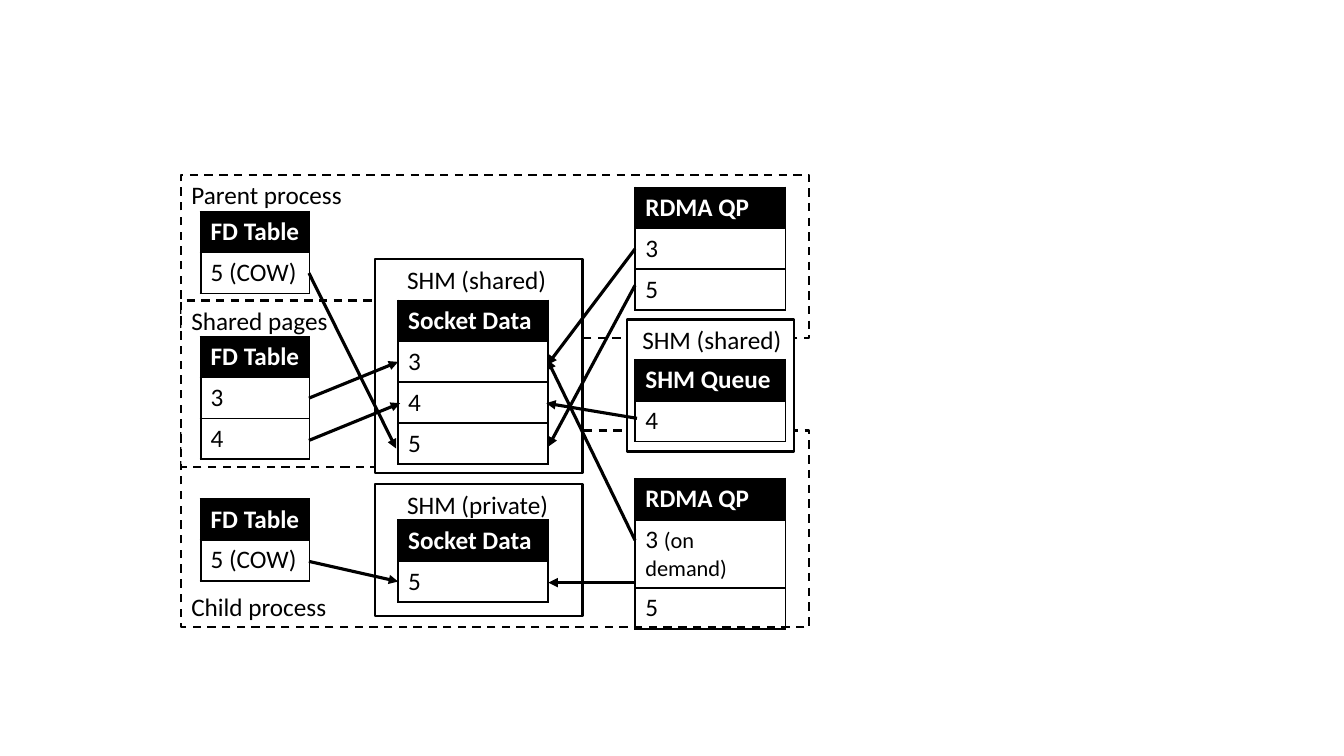
from pptx import Presentation
from pptx.util import Pt
from pptx.dml.color import RGBColor
from pptx.enum.dml import MSO_LINE
from pptx.enum.shapes import MSO_CONNECTOR, MSO_SHAPE
from pptx.enum.text import MSO_ANCHOR, PP_ALIGN
from pptx.oxml import parse_xml
from pptx.oxml.ns import nsdecls
from lxml import etree

COLORS = {"ink": "000000", "paper": "FFFFFF"}
INK = RGBColor.from_string(COLORS["ink"])
PAPER = RGBColor.from_string(COLORS["paper"])
FONT, SIZE, SMALL = "Calibri", 18, 16
ROW = 29.2

prs = Presentation()
prs.slide_width, prs.slide_height = Pt(960), Pt(540)
s = prs.slides.add_slide(prs.slide_layouts[6])


def add_box(x, y, w, h, label, inset=7.2, dashed=False, anchor=MSO_ANCHOR.TOP):
    sp = s.shapes.add_shape(MSO_SHAPE.RECTANGLE, Pt(x), Pt(y), Pt(w), Pt(h))
    sp.shadow.inherit = False
    sp.fill.solid()
    sp.fill.fore_color.rgb = PAPER
    sp.line.color.rgb = INK
    sp.line.width = Pt(1.5)
    if dashed:
        sp.line.dash_style = MSO_LINE.DASH
    tf = sp.text_frame
    tf.word_wrap = True
    tf.margin_left = Pt(inset)
    tf.vertical_anchor = anchor
    p = tf.paragraphs[0]
    p.text = label
    p.alignment = PP_ALIGN.LEFT
    p.font.name, p.font.size, p.font.color.rgb = FONT, Pt(SIZE), INK


def add_list(x, y, w, rows):
    tbl = s.shapes.add_table(len(rows), 1, Pt(x), Pt(y), Pt(w), Pt(ROW * len(rows))).table
    tbl.horz_banding = False
    for i, text in enumerate(rows):
        tbl.rows[i].height = Pt(ROW)
        cell = tbl.cell(i, 0)
        if i == 0:
            cell.fill.solid()
            cell.fill.fore_color.rgb = INK
        else:
            cell.fill.background()
        p = cell.text_frame.paragraphs[0]
        p.font.name, p.font.size, p.font.bold = FONT, Pt(SIZE), i == 0
        p.font.color.rgb = PAPER if i == 0 else INK
        # A note after the number is set smaller
        number, note, rest = text.partition("(on")
        p.add_run().text = number
        if note:
            r = p.add_run()
            r.text = note + rest
            r.font.size = Pt(SMALL)
        # Cell borders
        tcPr = cell._tc.get_or_add_tcPr()
        for k, side in enumerate("LRTB"):
            tcPr.insert(k, parse_xml(
                f'<a:ln{side} {nsdecls("a")} w="{Pt(1.5)}"><a:solidFill>'
                f'<a:srgbClr val="{COLORS["ink"]}"/></a:solidFill></a:ln{side}>'))


# Process and shared page areas
add_box(129.6, 124.8, 448.6, 116.8, "Parent process", dashed=True)
add_box(129.6, 307.5, 448.6, 140.3, "Child process", dashed=True, anchor=MSO_ANCHOR.BOTTOM)
add_box(129.6, 214.6, 239, 118.8, "Shared pages", dashed=True)

# Shared memory areas
add_box(267.8, 185, 148.3, 152.6, "SHM (shared)", inset=23)
add_box(267.8, 345.6, 148.3, 94.3, "SHM (private)", inset=23)
add_box(447.8, 228.2, 119.5, 94.3, "SHM (shared)", inset=11)

# Tables, by column
FD_X, DATA_X, QUEUE_X = 143.3, 284.4, 453.8
FD_W, DATA_W = 77.8, 107.3
for x, y, w, rows in [
    (FD_X, 151.2, FD_W, ["FD Table", "5 (COW)"]),
    (FD_X, 240.5, FD_W, ["FD Table", "3", "4"]),
    (FD_X, 356.4, FD_W, ["FD Table", "5 (COW)"]),
    (DATA_X, 214.6, DATA_W, ["Socket Data", "3", "4", "5"]),
    (DATA_X, 371.5, DATA_W, ["Socket Data", "5"]),
    (QUEUE_X, 133.9, DATA_W, ["RDMA QP", "3", "5"]),
    (QUEUE_X, 257, DATA_W, ["SHM Queue", "4"]),
    (QUEUE_X, 342, DATA_W, ["RDMA QP", "3 (on demand)", "5"]),
]:
    add_list(x, y, w, rows)

# Arrows into the socket data
for x1, y1, x2, y2 in [
    (220.7, 195.1, 283, 320.4),
    (220.7, 284.4, 284.4, 258.5),
    (220.7, 314.6, 285.8, 288),
    (220.7, 401, 284.4, 415.4),
    (453.6, 177.8, 391, 260.6),
    (453.6, 203.8, 391.7, 319),
    (455, 298.8, 390.2, 288),
    (453.6, 385.9, 391, 257),
    (453.6, 416.2, 391.7, 416.2),
]:
    c = s.shapes.add_connector(MSO_CONNECTOR.STRAIGHT, Pt(x1), Pt(y1), Pt(x2), Pt(y2))
    c.line.color.rgb = INK
    c.line.width = Pt(2.25)
    c.line._get_or_add_ln().append(parse_xml(f'<a:tailEnd {nsdecls("a")} type="triangle"/>'))
    spPr = c._element.spPr
    etree.SubElement(spPr, "{http://schemas.openxmlformats.org/drawingml/2006/main}effectLst")

prs.save("out.pptx")
